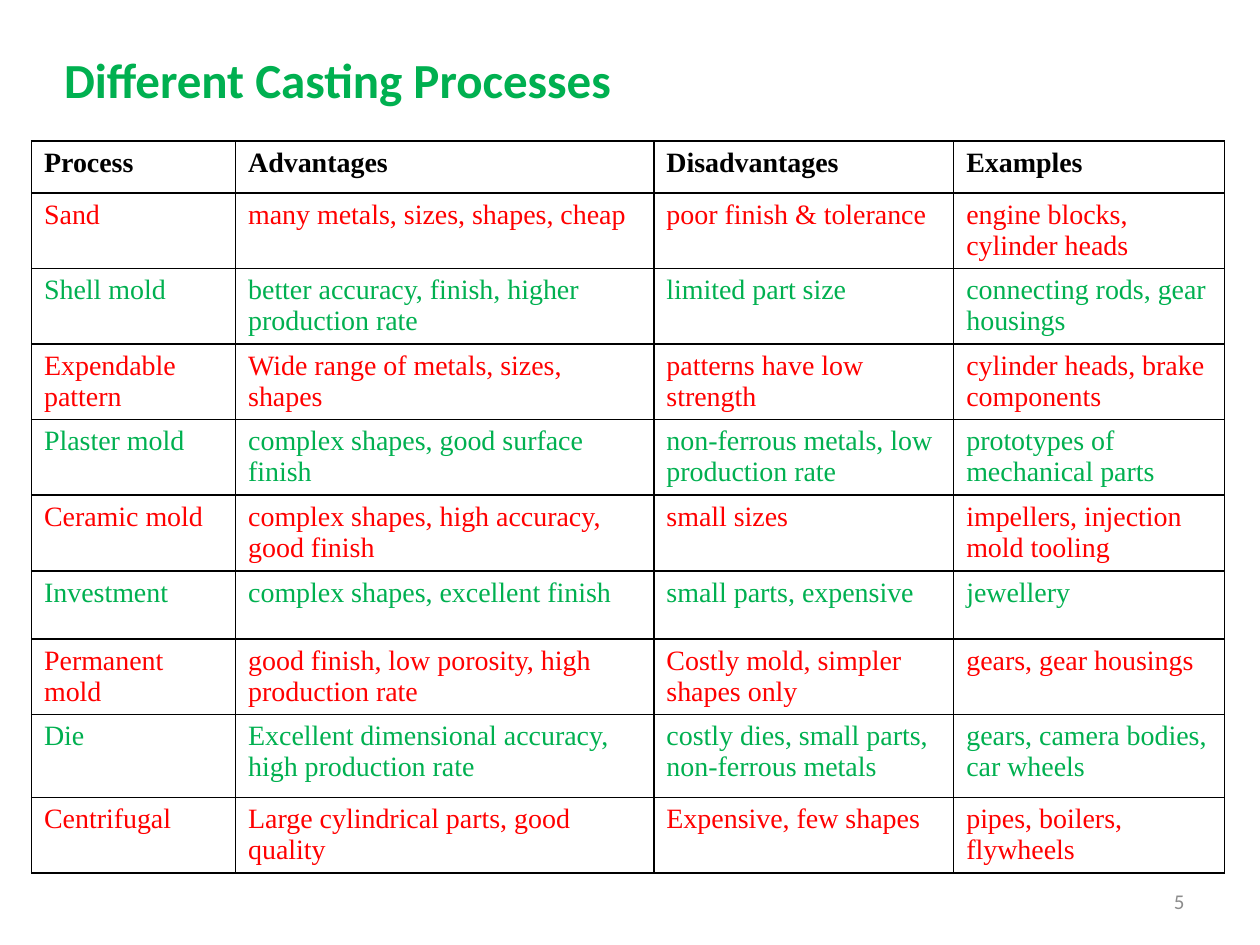
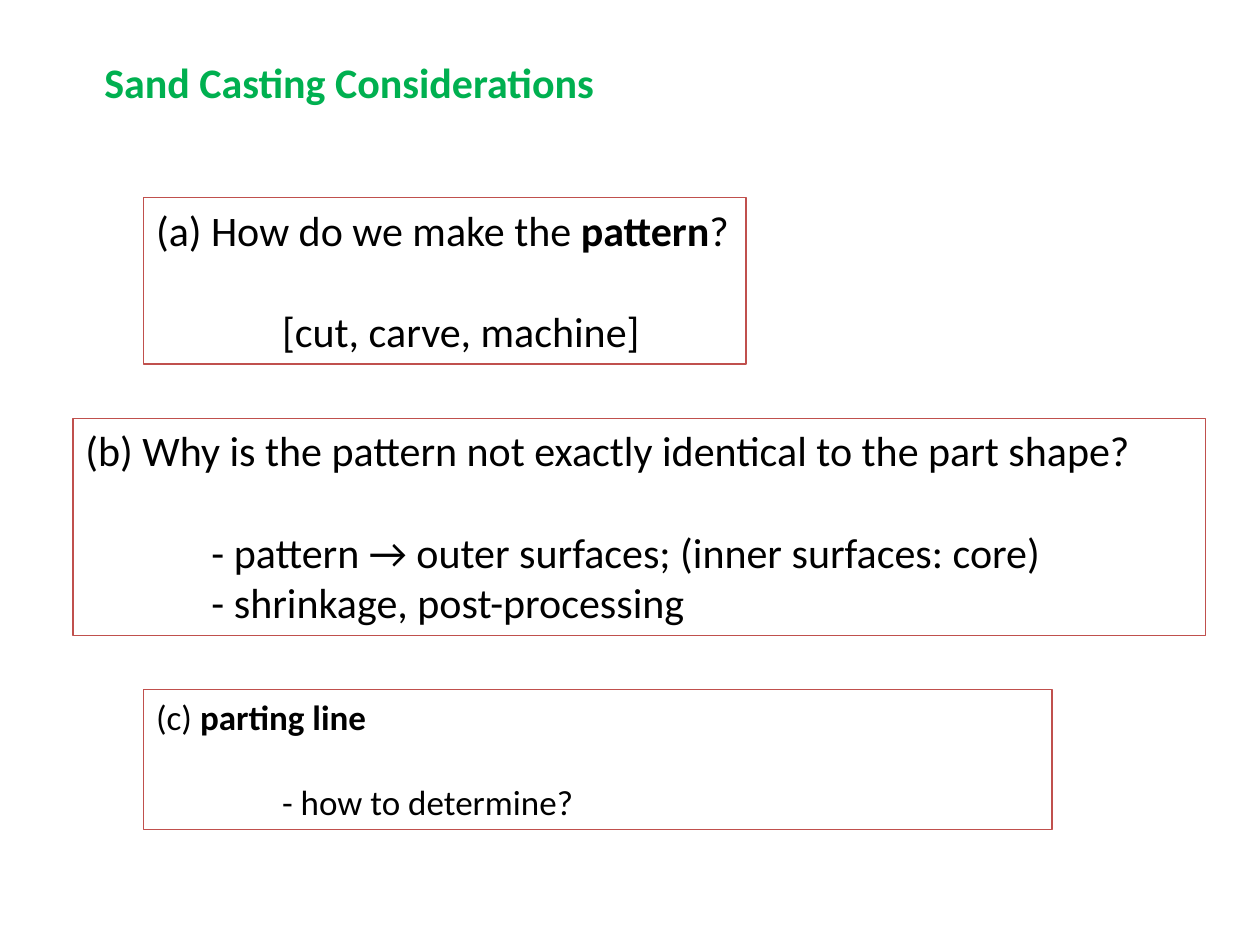
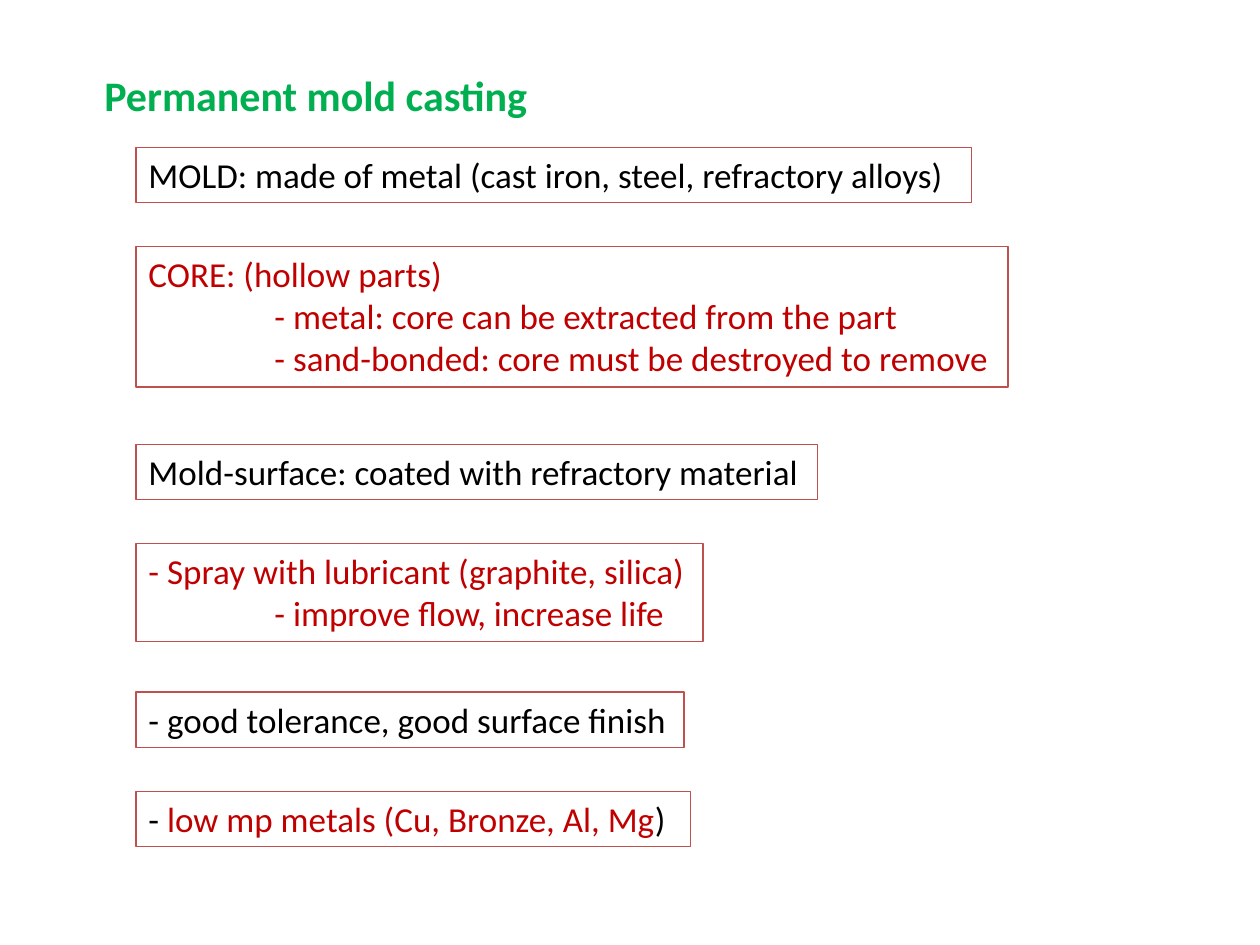
from dataclasses import dataclass

from lxml import etree
from pptx import Presentation
from pptx import util as u
from pptx.dml.color import RGBColor
from pptx.enum import shapes, text
from pptx.oxml import ns

COLUMNS, ROWS = 100, 75
GREEN = RGBColor(0x00, 0xB0, 0x50)
RED = RGBColor(0xFF, 0x00, 0x00)
DARK_RED = RGBColor(0xC0, 0x00, 0x00)
FRAME_RED = RGBColor(0xC0, 0x50, 0x4D)
BLACK = RGBColor(0x00, 0x00, 0x00)
GREY = RGBColor(0x8C, 0x8C, 0x8C)
SANS, SERIF = "Calibri", "Times New Roman"
LINE_HEIGHT = 1.22

PROCESSES = [
    ("Process", "Advantages", "Disadvantages", "Examples"),
    ("Sand", "many metals, sizes, shapes, cheap", "poor finish & tolerance",
     "engine blocks, cylinder heads"),
    ("Shell mold", "better accuracy, finish, higher production rate",
     "limited part size", "connecting rods, gear housings"),
    ("Expendable\npattern", "Wide range of metals, sizes, shapes",
     "patterns have low strength", "cylinder heads, brake components"),
    ("Plaster mold", "complex shapes, good surface finish",
     "non-ferrous metals, low production rate", "prototypes of mechanical parts"),
    ("Ceramic mold", "complex shapes, high accuracy, good finish", "small sizes",
     "impellers, injection mold tooling"),
    ("Investment", "complex shapes, excellent finish", "small parts, expensive",
     "jewellery"),
    ("Permanent mold", "good finish, low porosity, high production rate",
     "Costly mold, simpler shapes only", "gears, gear housings"),
    ("Die", "Excellent dimensional accuracy, high production rate",
     "costly dies, small parts,\nnon-ferrous metals",
     "gears, camera bodies, car wheels"),
    ("Centrifugal", "Large cylindrical parts, good quality",
     "Expensive, few shapes", "pipes, boilers, flywheels"),
]
PROCESS_COLUMNS = (16.2, 33.2, 23.8, 21.5)
PROCESS_ROWS = (4.1, 6, 6, 6, 6, 6, 5.4, 6, 6.6, 6)


@dataclass
class Line:
    """One paragraph: (text, colour, bold) runs, an indent and a line's gap above."""
    runs: list
    indent: bool = False
    gap: bool = False


def plain(words, color=BLACK, indent=False, gap=False):
    """Return a line that has one regular run."""
    return Line([(words, color, False)], indent, gap)


def grid(*lengths):
    """Turn grid units, a hundred to the slide's width, into lengths."""
    return [u.Inches(n / 10) for n in lengths]


def add_run(p, words, size, color, bold=False, font=SANS):
    """Add one formatted run to a paragraph."""
    r = p.add_run()
    r.text = words
    r.font.name, r.font.size, r.font.bold = font, u.Pt(size), bold
    r.font.color.rgb = color


def add_lines(tf, lines, size, align=text.PP_ALIGN.LEFT, font=SANS):
    """Write lines as paragraphs whose end marks share the text size."""
    for i, line in enumerate(lines):
        p = tf.add_paragraph() if i else tf.paragraphs[0]
        p.alignment = align
        if line.gap:
            p.space_before = u.Pt(size * LINE_HEIGHT)
        if line.indent:
            p._p.get_or_add_pPr().set("marL", str(u.Inches(1)))
        for words, color, bold in line.runs:
            add_run(p, words, size, color, bold, font)
        end = etree.SubElement(p._p, ns.qn("a:endParaRPr"), sz=str(size * 100))
        etree.SubElement(end, ns.qn("a:latin"), typeface=font)


def add_label(slide, area, line, size, align=text.PP_ALIGN.LEFT):
    """Add a one-line text box."""
    tf = slide.shapes.add_textbox(*grid(*area)).text_frame
    tf.word_wrap = True
    tf.vertical_anchor = text.MSO_ANCHOR.MIDDLE
    add_lines(tf, [line], size, align)


def add_title(slide, left, top, width, words, size=24):
    """Add the green slide title."""
    add_label(slide, (left, top, width, 5), Line([(words, GREEN, True)]), size)


def add_framed_box(slide, left, top, width, lines, size=20):
    """Add a red outlined box whose height follows from its lines."""
    count = len(lines) + sum(line.gap for line in lines)
    height = 1 + count * size * LINE_HEIGHT / 7.2
    sp = slide.shapes.add_shape(shapes.MSO_SHAPE.RECTANGLE,
                                *grid(left, top, width, height))
    sp.shadow.inherit = False
    sp.fill.background()
    sp.line.color.rgb, sp.line.width = FRAME_RED, u.Pt(0.75)
    tf = sp.text_frame
    tf.word_wrap = True
    tf.vertical_anchor = text.MSO_ANCHOR.TOP
    add_lines(tf, lines, size)


def add_borders(cell):
    """Draw a thin black line on each side of a cell."""
    tc_pr = cell._tc.get_or_add_tcPr()
    for side in ("lnL", "lnR", "lnT", "lnB"):
        ln = etree.SubElement(tc_pr, ns.qn(f"a:{side}"), w=str(u.Pt(1)))
        fill = etree.SubElement(ln, ns.qn("a:solidFill"))
        etree.SubElement(fill, ns.qn("a:srgbClr"), val=str(BLACK))


def add_process_table(slide, left, top):
    """Add the process table, its rows red and green in turn."""
    area = grid(left, top, sum(PROCESS_COLUMNS), sum(PROCESS_ROWS))
    table = slide.shapes.add_table(len(PROCESSES), len(PROCESS_COLUMNS), *area).table
    table.first_row = table.horz_banding = False
    for column, width in zip(table.columns, grid(*PROCESS_COLUMNS)):
        column.width = width
    for row, height in zip(table.rows, grid(*PROCESS_ROWS)):
        row.height = height
    for i, entries in enumerate(PROCESSES):
        color = (RED if i % 2 else GREEN) if i else BLACK
        for j, words in enumerate(entries):
            cell = table.cell(i, j)
            cell.margin_bottom = u.Inches(0.01)
            add_borders(cell)
            cell.fill.background()
            lines = [Line([(part, color, i == 0)]) for part in words.split("\n")]
            align = text.PP_ALIGN.LEFT if j else text.PP_ALIGN.JUSTIFY
            add_lines(cell.text_frame, lines, 16, align, SERIF)


def build_processes(slide):
    """Compare the casting processes."""
    add_label(slide, (71.7, 69.5, 23.3, 4), plain("5", GREY), 12,
              text.PP_ALIGN.RIGHT)
    add_process_table(slide, 2.5, 11.2)
    add_title(slide, 4.1, 3.75, 46.1, "Different Casting Processes", 28)


def build_sand_casting(slide):
    """List the questions about sand casting."""
    add_title(slide, 7.3, 4, 41.4, "Sand Casting Considerations")
    add_framed_box(slide, 11.4, 15.7, 47.8, [
        Line([("(a) How do we make the ", BLACK, False), ("pattern", BLACK, True),
              ("?", BLACK, False)]),
        plain("[cut, carve, machine]", indent=True, gap=True)], 24)
    add_framed_box(slide, 5.8, 33.2, 89.9, [
        plain("(b) Why is the pattern not exactly identical to the part shape?"),
        plain("- pattern → outer surfaces; (inner surfaces: core)",
              indent=True, gap=True),
        plain("- shrinkage, post-processing", indent=True)], 24)
    add_framed_box(slide, 11.4, 54.7, 72.1, [
        Line([("(c) ", BLACK, False), ("parting line", BLACK, True)]),
        plain("- how to determine?", indent=True, gap=True)])


def build_permanent_mold(slide):
    """Stack the facts about permanent mold casting."""
    add_title(slide, 7.3, 5, 36.7, "Permanent mold casting")
    facts = [
        (0, 66.3, [plain("MOLD: made of metal (cast iron, steel, refractory alloys)")]),
        (2, 69.2, [
            plain("CORE: (hollow parts)", DARK_RED),
            plain("- metal: core can be extracted from the part", DARK_RED, True),
            plain("- sand-bonded: core must be destroyed to remove", DARK_RED, True)]),
        (6, 54.1, [plain("Mold-surface: coated with refractory material")]),
        (8, 45, [
            plain("- Spray with lubricant (graphite, silica)", DARK_RED),
            plain("- improve flow, increase life", DARK_RED, True)]),
        (11, 43.5, [plain("- good tolerance, good surface finish")]),
        (13, 44, [Line([("- ", BLACK, False),
                        ("low mp metals (Cu, Bronze, Al, Mg", DARK_RED, False),
                        (")", BLACK, False)])]),
    ]
    for step, width, lines in facts:
        add_framed_box(slide, 10.8, 11.7 + 3.93 * step, width, lines)


def main():
    """Build the three slides and save them."""
    prs = Presentation()
    prs.slide_width, prs.slide_height = grid(COLUMNS, ROWS)
    for build in (build_processes, build_sand_casting, build_permanent_mold):
        build(prs.slides.add_slide(prs.slide_layouts[6]))
    prs.save("out.pptx")


if __name__ == "__main__":
    main()
